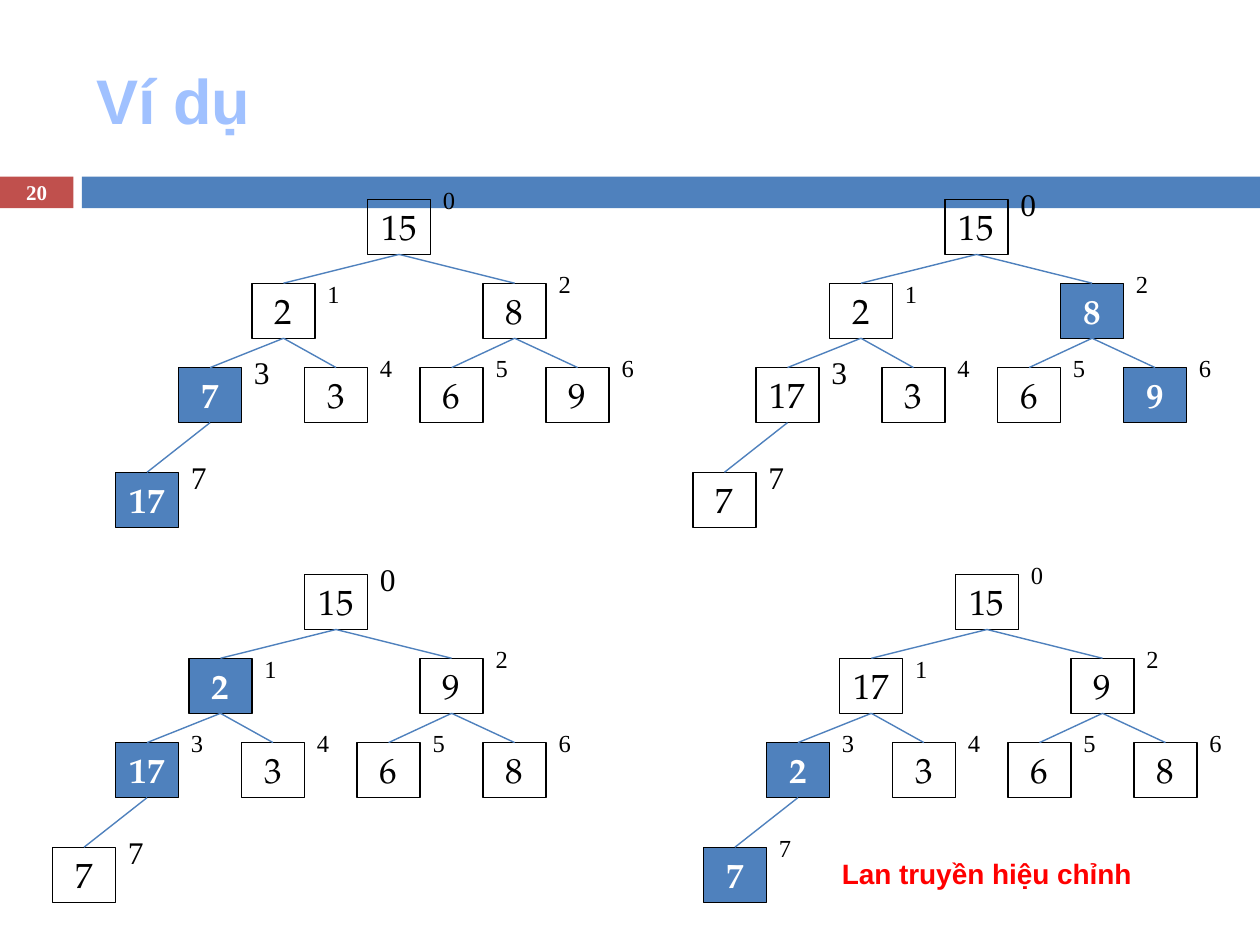
from dataclasses import dataclass
from typing import NamedTuple

from lxml import etree
from pptx import Presentation
from pptx.dml.color import RGBColor
from pptx.enum.shapes import MSO_CONNECTOR, MSO_SHAPE
from pptx.enum.text import MSO_ANCHOR, MSO_AUTO_SIZE, PP_ALIGN
from pptx.oxml.ns import qn
from pptx.shapes.autoshape import Shape
from pptx.slide import Slide
from pptx.util import Cm, Pt

RECT = MSO_SHAPE.RECTANGLE
STRAIGHT = MSO_CONNECTOR.STRAIGHT
TOP, MIDDLE = MSO_ANCHOR.TOP, MSO_ANCHOR.MIDDLE
LEFT, CENTER = PP_ALIGN.LEFT, PP_ALIGN.CENTER
GROW = MSO_AUTO_SIZE.SHAPE_TO_FIT_TEXT
SITE_TOP, SITE_BASE = 0, 2


@dataclass(frozen=True)
class Theme:
    blue: RGBColor = RGBColor(0x4F, 0x81, 0xBD)
    red: RGBColor = RGBColor(0xC0, 0x50, 0x4D)
    pale: RGBColor = RGBColor(0xA0, 0xC1, 0xFF)
    alert: RGBColor = RGBColor(0xFF, 0, 0)
    black: RGBColor = RGBColor(0, 0, 0)
    white: RGBColor = RGBColor(0xFF, 0xFF, 0xFF)
    sans: str = "Arial"
    serif: str = "Times New Roman"
    book: str = "TeX Gyre Pagella"
    title: float = 36
    key: float = 20
    large: float = 18
    small: float = 14
    note: float = 16
    page: float = 12
    frame: float = 0.75
    edge: float = 0.79


THEME = Theme()


class Box(NamedTuple):
    """Left, top, width and height in centimetres."""
    x: float
    y: float
    w: float
    h: float


class Style(NamedTuple):
    font: str
    size: float
    color: RGBColor
    bold: bool = False


class Heap(NamedTuple):
    x: float  # root corner
    y: float
    keys: tuple[int, ...]
    marked: set[int]  # indices of filled nodes
    large: set[int]  # indices with a large label


# Node corners relative to the root, in heap order
SPOTS = (
    (0, 0),
    (-2.33, 1.69), (2.33, 1.69),
    (-3.81, 3.39), (-1.27, 3.39), (1.06, 3.39), (3.6, 3.39),
    (-5.08, 5.5),
)
NODE_W, NODE_H = 1.27, 1.11
LABEL_W = 0.64
LIFT = 0.42  # label rise above its node

HEAPS = (
    Heap(7.41, 4.02, (15, 2, 8, 7, 3, 6, 9, 17), {3, 7}, {3, 7}),
    Heap(19.05, 4.02, (15, 2, 8, 17, 3, 6, 9, 7), {2, 6}, {0, 3, 7}),
    Heap(6.14, 11.58, (15, 2, 9, 17, 3, 6, 8, 7), {1, 3}, {0, 7}),
    Heap(19.26, 11.58, (15, 17, 9, 2, 3, 6, 8, 7), {3, 7}, set()),
)


def write(shape: Shape, text: str, style: Style, align: PP_ALIGN = LEFT,
          anchor: MSO_ANCHOR = TOP) -> None:
    frame = shape.text_frame
    frame.word_wrap = True
    frame.vertical_anchor = anchor
    if anchor == TOP:
        frame.auto_size = GROW
    para = frame.paragraphs[0]
    para.alignment = align
    run = para.add_run()
    run.text = text
    font = run.font
    font.name, font.size, font.bold = style.font, Pt(style.size), style.bold
    font.color.rgb = style.color


def add_text(slide: Slide, box: Box, text: str, style: Style,
             align: PP_ALIGN = LEFT, anchor: MSO_ANCHOR = TOP) -> None:
    shape = slide.shapes.add_textbox(*map(Cm, box))
    write(shape, text, style, align, anchor)


def add_rect(slide: Slide, box: Box, fill: RGBColor | None,
             line: RGBColor | None = None) -> Shape:
    shape = slide.shapes.add_shape(RECT, *map(Cm, box))
    shape.shadow.inherit = False
    if fill is None:
        shape.fill.background()
    else:
        shape.fill.solid()
        shape.fill.fore_color.rgb = fill
    if line is None:
        shape.line.fill.background()
    else:
        shape.line.color.rgb = line
        shape.line.width = Pt(THEME.frame)
    return shape


def add_node(slide: Slide, x: float, y: float, key: int, marked: bool) -> Shape:
    fill = THEME.blue if marked else None
    color = THEME.white if marked else THEME.black
    node = add_rect(slide, Box(x, y, NODE_W, NODE_H), fill, THEME.black)
    write(node, str(key), Style(THEME.book, THEME.key, color, marked), CENTER)
    return node


def add_edge(slide: Slide, upper: Shape, lower: Shape) -> None:
    edge = slide.shapes.add_connector(STRAIGHT, 0, 0, 0, 0)
    edge.begin_connect(upper, SITE_BASE)
    edge.end_connect(lower, SITE_TOP)
    edge.line.color.rgb = THEME.blue
    edge.line.width = Pt(THEME.edge)
    etree.SubElement(edge._element.spPr, qn("a:effectLst"))


def add_label(slide: Slide, x: float, y: float, index: int, large: bool) -> None:
    lift = LIFT / 2 if index == 1 else LIFT
    size, height = (THEME.large, 1.02) if large else (THEME.small, 0.86)
    add_text(slide, Box(x + NODE_W, y - lift, LABEL_W, height), str(index),
             Style(THEME.serif, size, THEME.black))


def add_heap(slide: Slide, heap: Heap) -> None:
    spots = [(heap.x + dx, heap.y + dy) for dx, dy in SPOTS]
    nodes = [add_node(slide, x, y, key, i in heap.marked)
             for i, ((x, y), key) in enumerate(zip(spots, heap.keys))]
    for i in range(1, len(nodes)):
        add_edge(slide, nodes[(i - 1) // 2], nodes[i])
    for i, (x, y) in enumerate(spots):
        add_label(slide, x, y, i, i in heap.large)


def main() -> None:
    deck = Presentation()
    deck.slide_width, deck.slide_height = Cm(25.4), Cm(19.05)
    slide = deck.slides.add_slide(deck.slide_layouts[6])

    # Header band, page number and title
    badge = Box(0, 3.56, 1.48, 0.64)
    add_rect(slide, badge, THEME.red)
    add_rect(slide, Box(1.65, 3.56, 23.75, 0.64), THEME.blue)
    add_text(slide, Box(1.7, 0.64, 22.66, 2.74), "Ví dụ",
             Style(THEME.sans, THEME.title, THEME.pale, True), anchor=MIDDLE)

    # Four stages of the heap
    for heap in HEAPS:
        add_heap(slide, heap)

    # Caption and page number
    add_text(slide, Box(16.72, 17.15, 6.99, 0.94), "Lan truyền hiệu chỉnh",
             Style(THEME.sans, THEME.note, THEME.alert, True))
    add_text(slide, badge, "20",
             Style(THEME.serif, THEME.page, THEME.white, True), CENTER, MIDDLE)

    deck.save("out.pptx")


if __name__ == "__main__":
    main()
